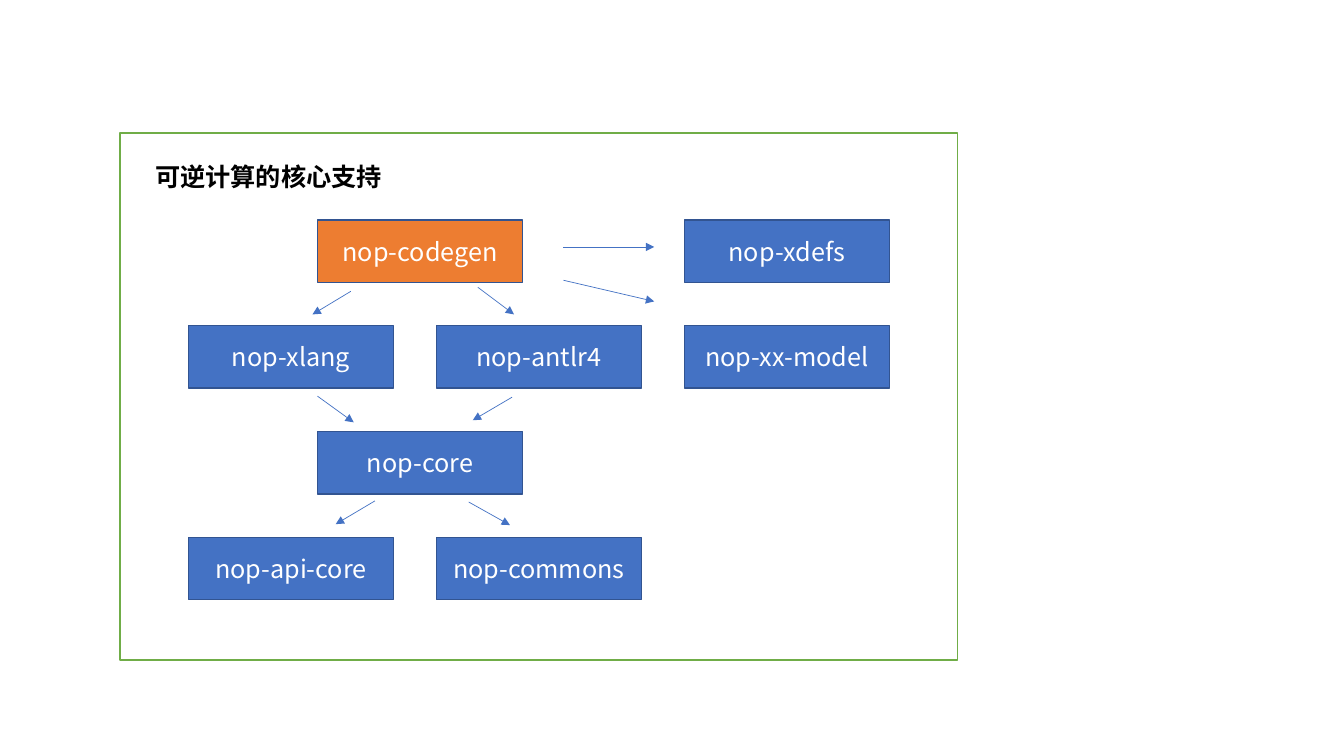
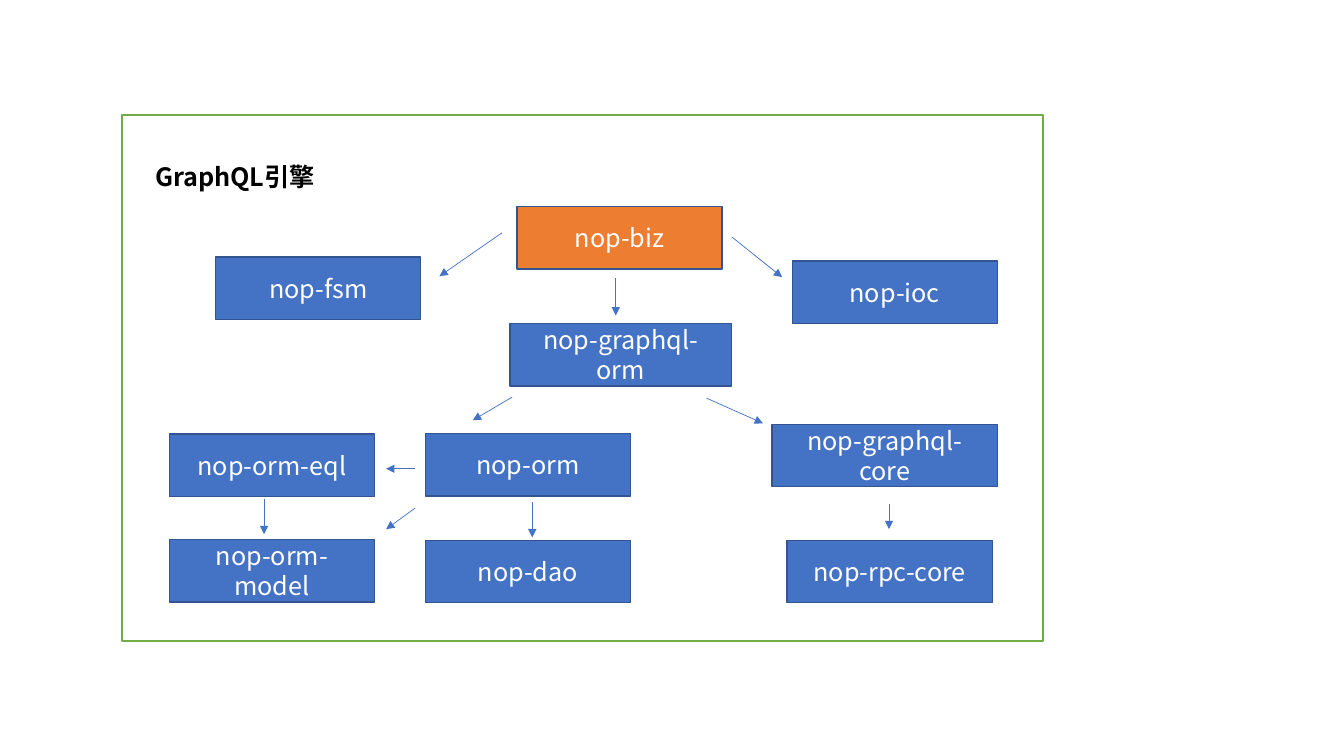
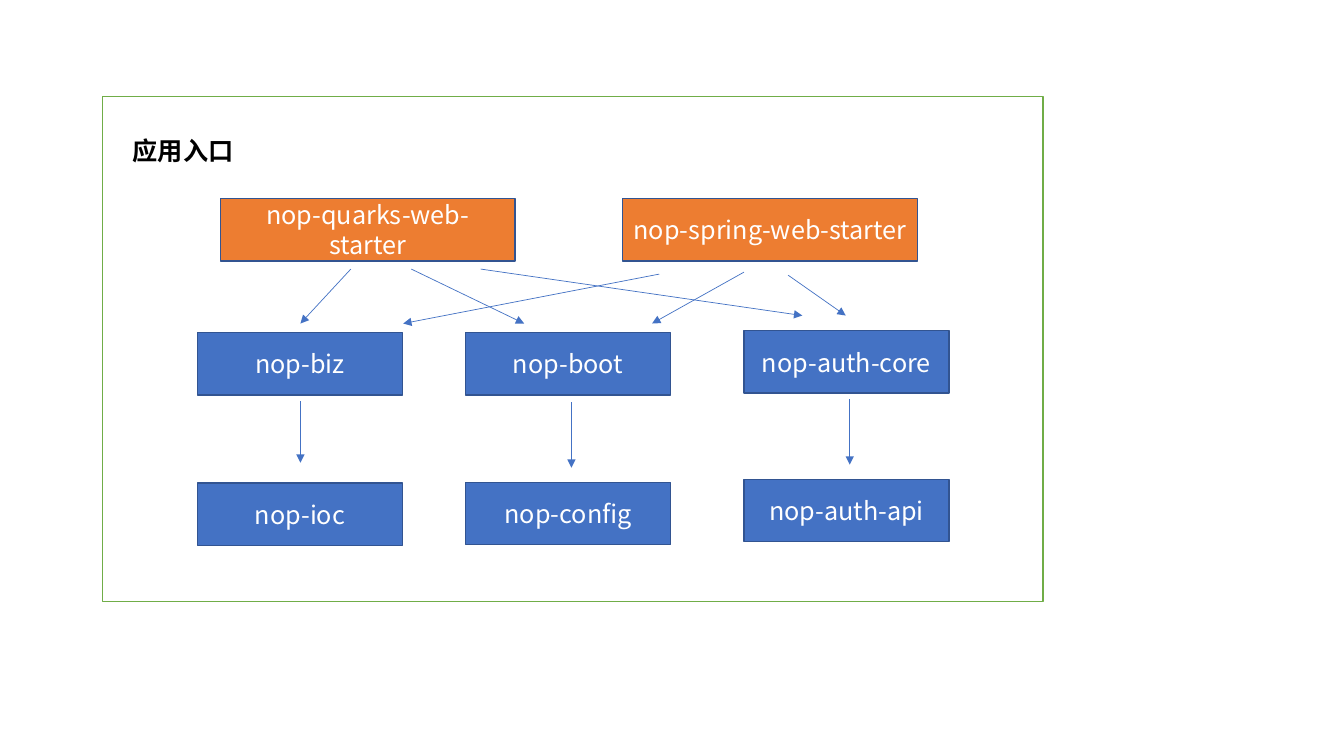
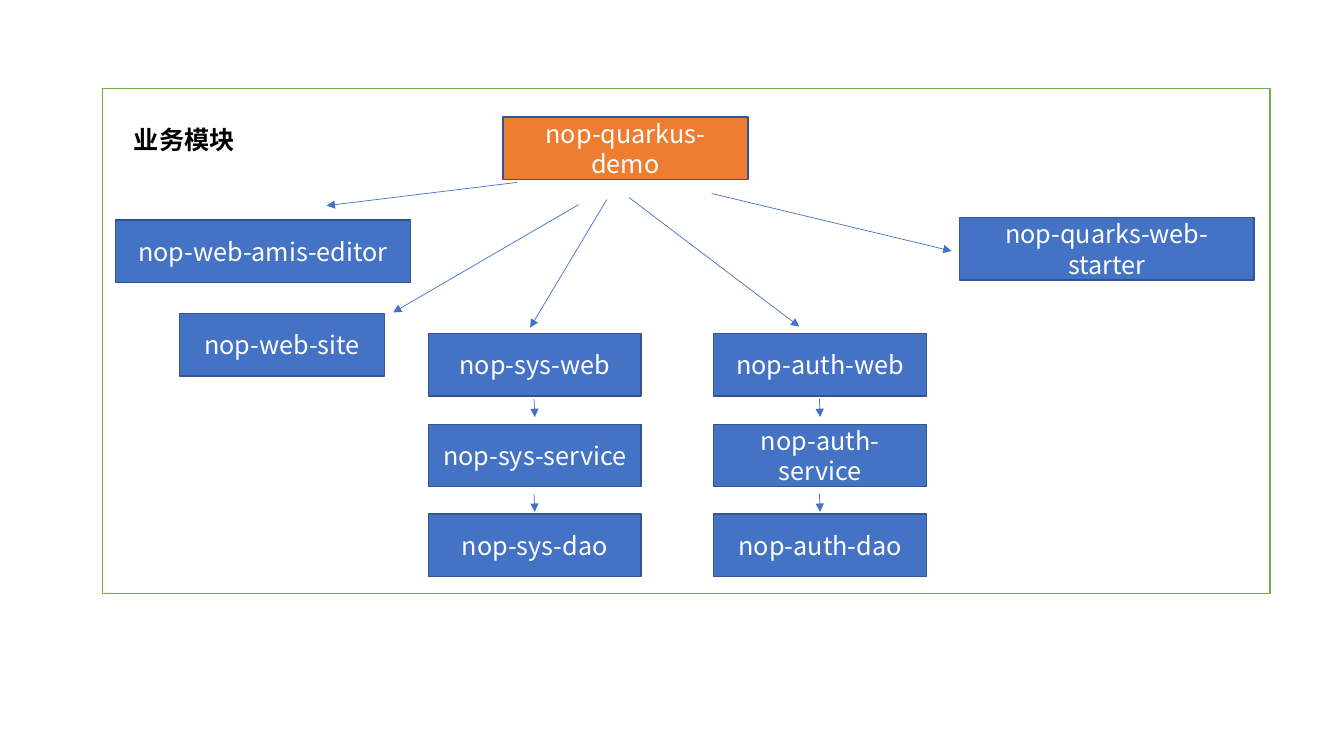
"""Build four module dependency diagrams as a slide deck."""
from dataclasses import dataclass

from lxml.etree import SubElement
from pptx import Presentation
from pptx.dml.color import RGBColor
from pptx.enum.shapes import MSO_CONNECTOR as CONN, MSO_SHAPE as SHAPE
from pptx.enum.text import MSO_ANCHOR as ANCHOR, MSO_AUTO_SIZE as FIT, PP_ALIGN as ALIGN
from pptx.oxml.ns import qn
from pptx.util import Pt

FONT = "Noto Sans CJK SC"
WHITE, BLACK, GREEN = "FFFFFF", "000000", "70AD47"
BLUE, ORANGE, NAVY = "4472C4", "ED7D31", "325491"
BOX_W, BOX_H, WIDE_W, STACK_W = 146.5, 44.6, 210.5, 152


@dataclass(frozen=True)
class Box:
    text: str
    x: float
    y: float
    w: float = BOX_W
    fill: str = BLUE


@dataclass(frozen=True)
class Arrow:
    x1: float
    y1: float
    x2: float
    y2: float


@dataclass(frozen=True)
class Title:
    text: str
    x: float
    y: float
    w: float = 247.7


@dataclass(frozen=True)
class Diagram:
    title: Title
    frame: tuple[float, float, float, float]
    boxes: list[Box]
    arrows: list[Arrow]


def rgb(value: str) -> RGBColor:
    return RGBColor.from_string(value)


def style_text(p, color: str, bold: bool = False) -> None:
    for r in p.runs:
        r.font.name = FONT
        r.font.size = Pt(18)
        r.font.bold = bold
        r.font.color.rgb = rgb(color)
        SubElement(r.font._element, qn("a:ea"), typeface=FONT)


def add_rect(slide, x: float, y: float, w: float, h: float, fill: str, line: str):
    sp = slide.shapes.add_shape(SHAPE.RECTANGLE, Pt(x), Pt(y), Pt(w), Pt(h))
    sp.shadow.inherit = False
    sp.fill.solid()
    sp.fill.fore_color.rgb = rgb(fill)
    sp.line.color.rgb = rgb(line)
    sp.line.width = Pt(1)
    return sp


def add_box(slide, box: Box) -> None:
    sp = add_rect(slide, box.x, box.y, box.w, BOX_H, box.fill, NAVY)
    tf = sp.text_frame
    tf.text = box.text
    tf.word_wrap = True
    tf.vertical_anchor = ANCHOR.MIDDLE
    p = tf.paragraphs[0]
    p.alignment = ALIGN.CENTER
    style_text(p, WHITE)


def add_arrow(slide, arrow: Arrow) -> None:
    cxn = slide.shapes.add_connector(
        CONN.STRAIGHT, Pt(arrow.x1), Pt(arrow.y1), Pt(arrow.x2), Pt(arrow.y2))
    cxn.line.color.rgb = rgb(BLUE)
    cxn.line.width = Pt(0.5)
    sp_pr = cxn._element.spPr
    SubElement(sp_pr.find(qn("a:ln")), qn("a:tailEnd"), type="triangle")
    SubElement(sp_pr, qn("a:effectLst"))


def add_title(slide, title: Title) -> None:
    sp = slide.shapes.add_textbox(Pt(title.x), Pt(title.y), Pt(title.w), Pt(29))
    tf = sp.text_frame
    tf.text = title.text
    tf.word_wrap = True
    tf.auto_size = FIT.SHAPE_TO_FIT_TEXT
    style_text(tf.paragraphs[0], BLACK, bold=True)


def add_diagram(prs, diagram: Diagram) -> None:
    slide = prs.slides.add_slide(prs.slide_layouts[6])
    add_rect(slide, *diagram.frame, WHITE, GREEN)
    for box in diagram.boxes:
        add_box(slide, box)
    for arrow in diagram.arrows:
        add_arrow(slide, arrow)
    add_title(slide, diagram.title)


def core_support() -> Diagram:
    left, middle, right = (134.6 + 177.1 * i for i in range(3))
    between = 226.8
    rows = [157 + 75.6 * i for i in range(4)]
    return Diagram(
        Title("可逆计算的核心支持", 103.7, 111.6, 197.3),
        (85.7, 95, 598.3, 376.6),
        [
            Box("nop-codegen", between, rows[0], fill=ORANGE),
            Box("nop-xdefs", right, rows[0]),
            Box("nop-xlang", left, rows[1]),
            Box("nop-antlr4", middle, rows[1]),
            Box("nop-xx-model", right, rows[1]),
            Box("nop-core", between, rows[2]),
            Box("nop-api-core", left, rows[3]),
            Box("nop-commons", middle, rows[3]),
        ],
        [
            Arrow(250.6, 208.1, 223.2, 224.6),
            Arrow(341.3, 205.2, 367.2, 224.6),
            Arrow(402.5, 176.4, 467.3, 176.4),
            Arrow(402.5, 200.2, 467.3, 215.3),
            Arrow(226.8, 283, 252.7, 301.7),
            Arrow(365.8, 283.7, 337.7, 300.2),
            Arrow(267.8, 357.8, 239.8, 374.4),
            Arrow(334.8, 358.6, 364.3, 375.1),
        ],
    )


def graphql_engine() -> Diagram:
    return Diagram(
        Title("GraphQL引擎", 103.7, 111.6),
        (87.1, 82.1, 658.1, 375.8),
        [
            Box("nop-biz", 369.4, 147.6, fill=ORANGE),
            Box("nop-fsm", 154.1, 183.6),
            Box("nop-ioc", 565.9, 186.5),
            Box("nop-graphql-orm", 364.3, 231.1, 158.4),
            Box("nop-orm-eql", 121, 310),
            Box("nop-orm", 303.8, 309.6),
            Box("nop-graphql-core", 551.5, 303.1, 160.9),
            Box("nop-orm-model", 121, 385.4),
            Box("nop-dao", 303.8, 386),
            Box("nop-rpc-core", 562.3, 386),
        ],
        [
            Arrow(358.6, 166.3, 313.9, 197.3),
            Arrow(522.7, 169.2, 558.7, 198),
            Arrow(439.9, 198.7, 439.9, 225.4),
            Arrow(365.8, 283.7, 337.7, 300.2),
            Arrow(504.7, 284.4, 545, 302.4),
            Arrow(296.6, 334.8, 275.8, 334.8),
            Arrow(188.6, 356.4, 188.6, 381.6),
            Arrow(296.6, 362.9, 275.8, 378),
            Arrow(380.2, 358.6, 380.2, 383.8),
            Arrow(635, 360, 635, 378),
        ],
    )


def application_entry() -> Diagram:
    left, middle, right = 141.1, 332.6, 531.4
    return Diagram(
        Title("应用入口", 87.8, 92.9),
        (73.4, 69.1, 671.8, 360.7),
        [
            Box("nop-quarks-web-starter", 157.5, 141.8, WIDE_W, ORANGE),
            Box("nop-spring-web-starter", 444.8, 141.8, WIDE_W, ORANGE),
            Box("nop-biz", left, 237.6),
            Box("nop-boot", middle, 237.6),
            Box("nop-auth-core", right, 236.2),
            Box("nop-ioc", left, 345),
            Box("nop-config", middle, 344.5),
            Box("nop-auth-api", right, 342.3),
        ],
        [
            Arrow(250.6, 192.2, 214.6, 231.1),
            Arrow(293.8, 192.2, 374.4, 231.1),
            Arrow(343.4, 192.2, 573.1, 225.4),
            Arrow(470.9, 195.8, 288, 231.1),
            Arrow(531.4, 194.4, 465.8, 231.1),
            Arrow(563, 196.6, 604.1, 225.4),
            Arrow(214.6, 286.6, 214.6, 330.5),
            Arrow(408.2, 287.3, 408.2, 334.1),
            Arrow(607, 285.1, 607, 331.9),
        ],
    )


def business_modules() -> Diagram:
    stacks = {"sys": 306, "auth": 509.8}
    layers = {"web": 238.3, "service": 303.1, "dao": 367.2}
    return Diagram(
        Title("业务模块", 88.6, 85),
        (73.4, 63.4, 833.8, 360.7),
        [
            Box("nop-quarkus-demo", 359.3, 83.5, 175, ORANGE),
            Box("nop-web-amis-editor", 82.6, 157, WIDE_W),
            Box("nop-quarks-web-starter", 685.4, 155.5, WIDE_W),
            Box("nop-web-site", 128.2, 224),
            *(Box(f"nop-{module}-{layer}", x, y, STACK_W)
              for module, x in stacks.items() for layer, y in layers.items()),
        ],
        [
            Arrow(369.4, 130.3, 233.3, 146.9),
            Arrow(413.3, 146.2, 280.8, 223.2),
            Arrow(433.4, 142.6, 378.7, 234),
            Arrow(449.3, 141.1, 571, 233.3),
            Arrow(508.3, 138.2, 679.7, 179.3),
            *(Arrow(x + 75.5, y, x + 76, y + 12.8)
              for x in stacks.values() for y in (285.1, 352.8)),
        ],
    )


def main() -> None:
    prs = Presentation()
    prs.slide_width, prs.slide_height = Pt(960), Pt(540)
    for diagram in (core_support(), graphql_engine(), application_entry(), business_modules()):
        add_diagram(prs, diagram)
    prs.save("out.pptx")


if __name__ == "__main__":
    main()
